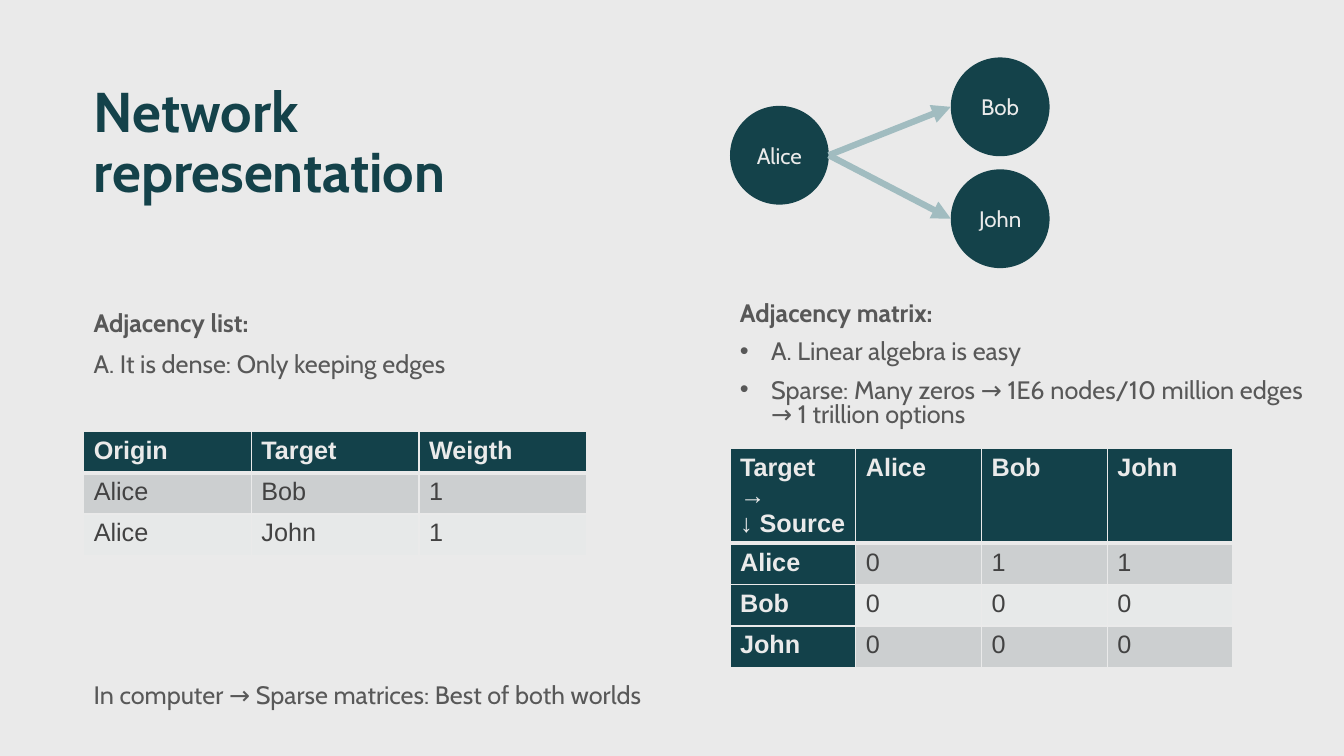
from dataclasses import dataclass

from lxml.etree import SubElement
from pptx import Presentation
from pptx.dml.color import RGBColor
from pptx.enum.shapes import MSO_CONNECTOR, MSO_SHAPE
from pptx.enum.text import MSO_ANCHOR, PP_ALIGN
from pptx.oxml.ns import qn
from pptx.util import Inches, Pt

TITLE = "Network representation"
NODE_SIZE = 0.98
NODES = {"Alice": (7.24, 1.05), "Bob": (9.43, 0.57), "John": (9.43, 1.68)}
EDGES = [("Alice", "John"), ("Alice", "Bob")]

# left, top, width, height, line spacing, paragraphs as (style, text)
TEXT_BLOCKS = [
    (0.83, 3.03, 5.83, 1.22, 0.9, [
        ("heading", "Adjacency list:"),
        ("plain", "A. It is dense: Only keeping edges"),
    ]),
    (7.24, 2.96, 5.83, 1.39, 0.8, [
        ("heading", "Adjacency matrix:"),
        ("bullet", "A. Linear algebra is easy"),
        ("bullet", "Sparse: Many zeros → 1E6 nodes/10 million edges → 1 trillion options"),
    ]),
    (0.83, 6.72, 6.41, 0.61, 0.9, [
        ("plain", "In computer → Sparse matrices: Best of both worlds"),
    ]),
]

ADJACENCY_LIST = [
    ["Origin", "Target", "Weigth"],
    ["Alice", "Bob", "1"],
    ["Alice", "John", "1"],
]
ADJACENCY_MATRIX = [
    ["Target →\n↓ Source", "Alice", "Bob", "John"],
    ["Alice", "0", "1", "1"],
    ["Bob", "0", "0", "0"],
    ["John", "0", "0", "0"],
]
TABLE_WIDTH, ROW_HEIGHT = 4.99, 0.41


@dataclass(frozen=True)
class Theme:
    background: str = "EAEAEA"
    primary: str = "14424A"
    edge: str = "A1BCC0"
    body: str = "585858"
    header: str = "13414A"
    cell_text: str = "424242"
    bands: tuple = ("CCCFD0", "E7E9E9")
    font: str = "Cabin"
    table_font: str = "Arial"
    title_size: int = 40
    body_size: int = 18
    node_size: int = 16


THEME = Theme()


def format_font(font, color, **values):
    for name, value in values.items():
        setattr(font, name, value)
    font.color.rgb = RGBColor.from_string(color)


def fill_solid(fill, color):
    fill.solid()
    fill.fore_color.rgb = RGBColor.from_string(color)


def add_title(slide):
    title = slide.shapes.title
    title.left, title.top, title.width, title.height = map(Inches, (0.83, 0.78, 5.83, 1.3))
    frame = title.text_frame
    frame.text = TITLE
    frame.vertical_anchor = MSO_ANCHOR.MIDDLE
    frame.margin_right = Inches(0.3)
    paragraph = frame.paragraphs[0]
    paragraph.alignment = PP_ALIGN.LEFT
    paragraph.line_spacing = 0.9
    format_font(paragraph.runs[0].font, THEME.primary, name=THEME.font,
                size=Pt(THEME.title_size), bold=True)


def add_node(slide, name, left, top):
    shape = slide.shapes.add_shape(MSO_SHAPE.OVAL, Inches(left), Inches(top),
                                   Inches(NODE_SIZE), Inches(NODE_SIZE))
    shape.shadow.inherit = False
    fill_solid(shape.fill, THEME.primary)
    shape.line.fill.background()
    frame = shape.text_frame
    frame.margin_left = frame.margin_right = 0
    frame.vertical_anchor = MSO_ANCHOR.MIDDLE
    frame.text = name
    paragraph = frame.paragraphs[0]
    paragraph.alignment = PP_ALIGN.CENTER
    format_font(paragraph.runs[0].font, THEME.background, name=THEME.font,
                size=Pt(THEME.node_size))


def add_edge(slide, source, target):
    """Draw an arrow from the right of the source node to the left of the target."""
    (source_left, source_top), (target_left, target_top) = NODES[source], NODES[target]
    radius = NODE_SIZE / 2
    connector = slide.shapes.add_connector(
        MSO_CONNECTOR.STRAIGHT,
        Inches(source_left + NODE_SIZE), Inches(source_top + radius),
        Inches(target_left), Inches(target_top + radius))
    connector.line.color.rgb = RGBColor.from_string(THEME.edge)
    connector.line.width = Pt(4.5)
    SubElement(connector.line._get_or_add_ln(), qn("a:tailEnd"), type="triangle")
    SubElement(connector._element.spPr, qn("a:effectLst"))


def add_bullet(paragraph):
    properties = paragraph._p.get_or_add_pPr()
    properties.set("marL", str(Inches(0.31)))
    properties.set("indent", str(-Inches(0.31)))
    SubElement(properties, qn("a:buFont"), typeface="Arial")
    SubElement(properties, qn("a:buChar"), char="•")


def add_text_block(slide, left, top, width, height, line_spacing, lines):
    box = slide.shapes.add_textbox(*map(Inches, (left, top, width, height)))
    frame = box.text_frame
    frame.word_wrap = True
    for index, (style, text) in enumerate(lines):
        paragraph = frame.add_paragraph() if index else frame.paragraphs[0]
        paragraph.line_spacing = line_spacing
        if index:
            paragraph.space_before = Pt(10)
        if style == "bullet":
            add_bullet(paragraph)
        run = paragraph.add_run()
        run.text = text
        format_font(run.font, THEME.body, name=THEME.font,
                    size=Pt(THEME.body_size), bold=style == "heading")


def set_borders(cell, row):
    """Give thin borders, with a thick one between the header and the first row."""
    properties = cell._tc.get_or_add_tcPr()
    widths = {"lnL": 1, "lnR": 1, "lnT": 3 if row == 1 else 1, "lnB": 3 if row == 0 else 1}
    for position, (tag, width) in enumerate(widths.items()):
        line = SubElement(properties, qn(f"a:{tag}"), w=str(Pt(width)))
        solid = SubElement(line, qn("a:solidFill"))
        SubElement(solid, qn("a:srgbClr"), val=THEME.background)
        properties.insert(position, line)


def add_table(slide, left, top, height, data, header_column=False):
    columns = len(data[0])
    frame = slide.shapes.add_table(len(data), columns, Inches(left), Inches(top),
                                   Inches(TABLE_WIDTH), Inches(height))
    table = frame.table
    table.first_col = header_column
    for row, values in enumerate(data):
        table.rows[row].height = Inches(ROW_HEIGHT)
        for column, text in enumerate(values):
            is_header = row == 0 or (header_column and column == 0)
            cell = table.cell(row, column)
            cell.text = text
            fill_solid(cell.fill, THEME.header if is_header else THEME.bands[(row - 1) % 2])
            set_borders(cell, row)
            for paragraph in cell.text_frame.paragraphs:
                format_font(paragraph.runs[0].font,
                            THEME.background if is_header else THEME.cell_text,
                            name=THEME.table_font, size=Pt(THEME.body_size), bold=is_header)
    frame.height = Inches(height)


def main():
    presentation = Presentation()
    presentation.slide_width, presentation.slide_height = Inches(13.33), Inches(7.5)
    slide = presentation.slides.add_slide(presentation.slide_layouts.get_by_name("Title Only"))
    fill_solid(slide.background.fill, THEME.background)
    add_title(slide)
    for name, (left, top) in NODES.items():
        add_node(slide, name, left, top)
    for source, target in EDGES:
        add_edge(slide, source, target)
    add_table(slide, 0.83, 4.28, 1.22, ADJACENCY_LIST)
    add_table(slide, 7.24, 4.45, 1.92, ADJACENCY_MATRIX, header_column=True)
    for block in TEXT_BLOCKS:
        add_text_block(slide, *block)
    presentation.save("out.pptx")


if __name__ == "__main__":
    main()
